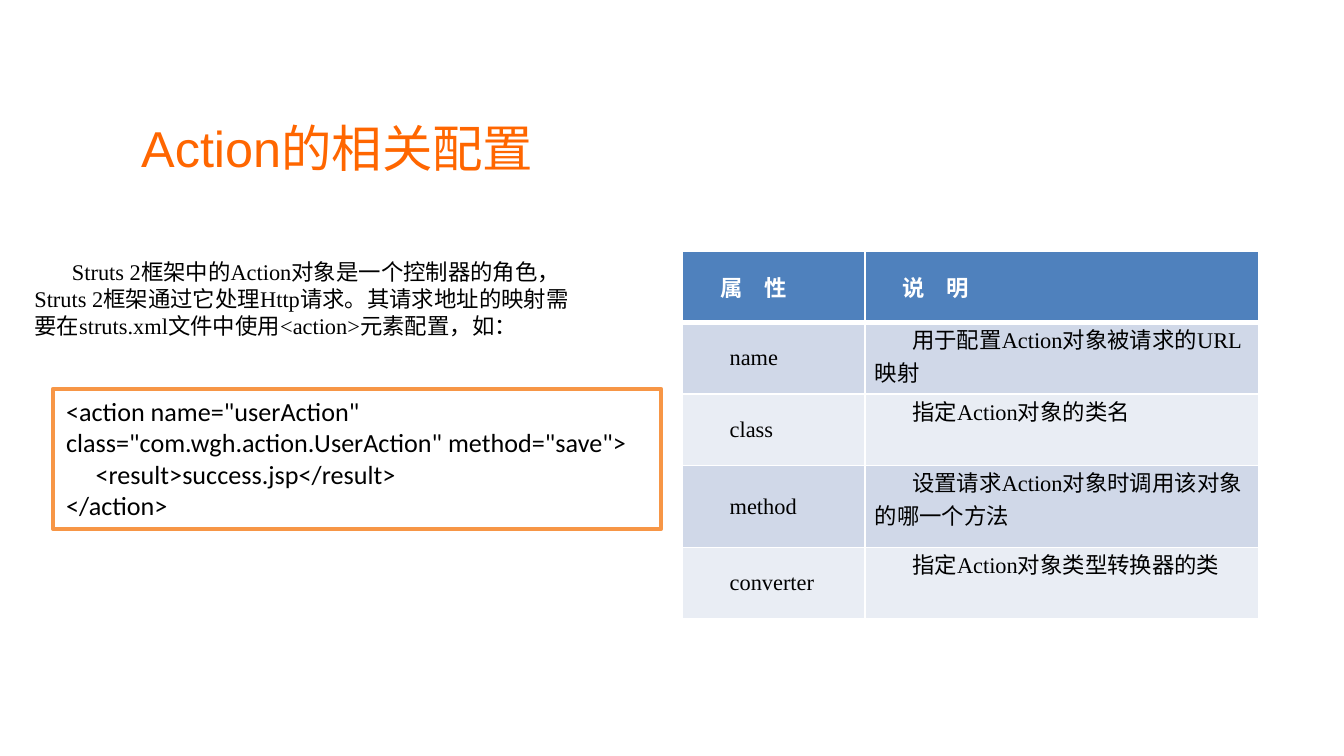
from lxml import etree
from pptx import Presentation
from pptx import util as u
from pptx.dml.color import RGBColor
from pptx.enum import shapes, text
from pptx.oxml.ns import qn

SERIF = "Times New Roman"
INDENT = u.Cm(0.71)
ROWS = [
    ("属 性", "说 明"),
    ("name", "用于配置Action对象被请求的URL映射"),
    ("class", "指定Action对象的类名"),
    ("method", "设置请求Action对象时调用该对象的哪一个方法"),
    ("converter", "指定Action对象类型转换器的类"),
]


def colour(value):
    return RGBColor.from_string(value)


def style(para, size, font, fill, bold=False, indent=0):
    para.alignment = text.PP_ALIGN.LEFT
    if indent:
        para._p.get_or_add_pPr().set("indent", str(indent))
    for span in para.runs:
        span.font.size = u.Pt(size)
        span.font.name = font
        span.font.bold = bold
        span.font.color.rgb = colour(fill)


def border(cell, side, width):
    """Add one white edge to a cell, ahead of its fill."""
    props = cell._tc.get_or_add_tcPr()
    line = etree.Element(qn("a:ln" + side), w=str(u.Pt(width)))
    fill = etree.SubElement(line, qn("a:solidFill"))
    etree.SubElement(fill, qn("a:srgbClr"), val="FFFFFF")
    edges = [child for child in props if child.tag.startswith(qn("a:ln"))]
    props.insert(len(edges), line)


def add_text(page, box, words, size, font, fill, indent=0):
    frame = page.shapes.add_textbox(*map(u.Cm, box)).text_frame
    frame.word_wrap = True
    frame.vertical_anchor = text.MSO_ANCHOR.MIDDLE
    frame.text = words
    style(frame.paragraphs[0], size, font, fill, indent=indent)
    return frame


def add_title(page, box):
    frame = add_text(page, box, "Action的相关配置", 27, "Arial", "FF6600")
    frame.margin_left = frame.margin_right = u.Cm(0.18)
    frame.margin_top = frame.margin_bottom = u.Cm(0.1)


def add_intro(page, box):
    words = ("Struts 2框架中的Action对象是一个控制器的角色，Struts 2框架通过它处理Http请求。"
             "其请求地址的映射需要在struts.xml文件中使用<action>元素配置，如：")
    add_text(page, box, words, 12, SERIF, "000000", INDENT)


def add_code(page, box):
    panel = page.shapes.add_shape(shapes.MSO_SHAPE.RECTANGLE, *map(u.Cm, box))
    panel.shadow.inherit = False
    panel.fill.solid()
    panel.fill.fore_color.rgb = colour("FFFFFF")
    panel.line.color.rgb = colour("F79646")
    panel.line.width = u.Pt(2)
    frame = panel.text_frame
    frame.word_wrap = True
    frame.vertical_anchor = text.MSO_ANCHOR.TOP
    frame.text = ('<action name="userAction" class="com.wgh.action.UserAction" method="save">\n'
                  "     <result>success.jsp</result>\n"
                  "</action>")
    for para in frame.paragraphs:
        style(para, 14, "Calibri", "000000")


def fill_cell(cell, words, row, column):
    header = row == 0
    cell.fill.solid()
    cell.fill.fore_color.rgb = colour(
        "4F81BD" if header else ("E9EDF4", "D0D8E8")[row % 2])
    cell.margin_left = cell.margin_right = u.Cm(0 if header else 0.18)
    cell.margin_top = cell.margin_bottom = 0
    middle = header or column == 0
    cell.vertical_anchor = text.MSO_ANCHOR.MIDDLE if middle else text.MSO_ANCHOR.TOP
    cell.text = words
    para = cell.text_frame.paragraphs[0]
    style(para, 12, SERIF, "FFFFFF" if header else "000000", header, INDENT)
    if header:
        # Letter spacing opens the two-character headings
        para.runs[0]._r.get_or_add_rPr().set("spc", "450")
    for side in "LRTB":
        heavy = (header and side == "B") or (row == 1 and side == "T")
        border(cell, side, 3 if heavy else 1)


def add_attributes(page, box):
    table = page.shapes.add_table(len(ROWS), 2, *map(u.Cm, box)).table
    for column, width in zip(table.columns, (3.45, 7.44)):
        column.width = u.Cm(width)
    for line, height in zip(table.rows, (1.35, 1.35, 1.35, 1.55, 1.35)):
        line.height = u.Cm(height)
    for row, entries in enumerate(ROWS):
        for column, words in enumerate(entries):
            fill_cell(table.cell(row, column), words, row, column)


def main():
    deck = Presentation()
    deck.slide_width, deck.slide_height = u.Cm(25.4), u.Cm(14.29)
    page = deck.slides.add_slide(deck.slide_layouts[6])
    # Boxes are left, top, width, height in centimetres
    add_title(page, (2.49, 1.8, 15.98, 1.96))
    add_attributes(page, (12.9, 4.75, 10.89, 6.95))
    add_intro(page, (0.4, 4.75, 10.72, 1.8))
    add_code(page, (1, 7.35, 11.5, 2.65))
    deck.save("out.pptx")


if __name__ == "__main__":
    main()
